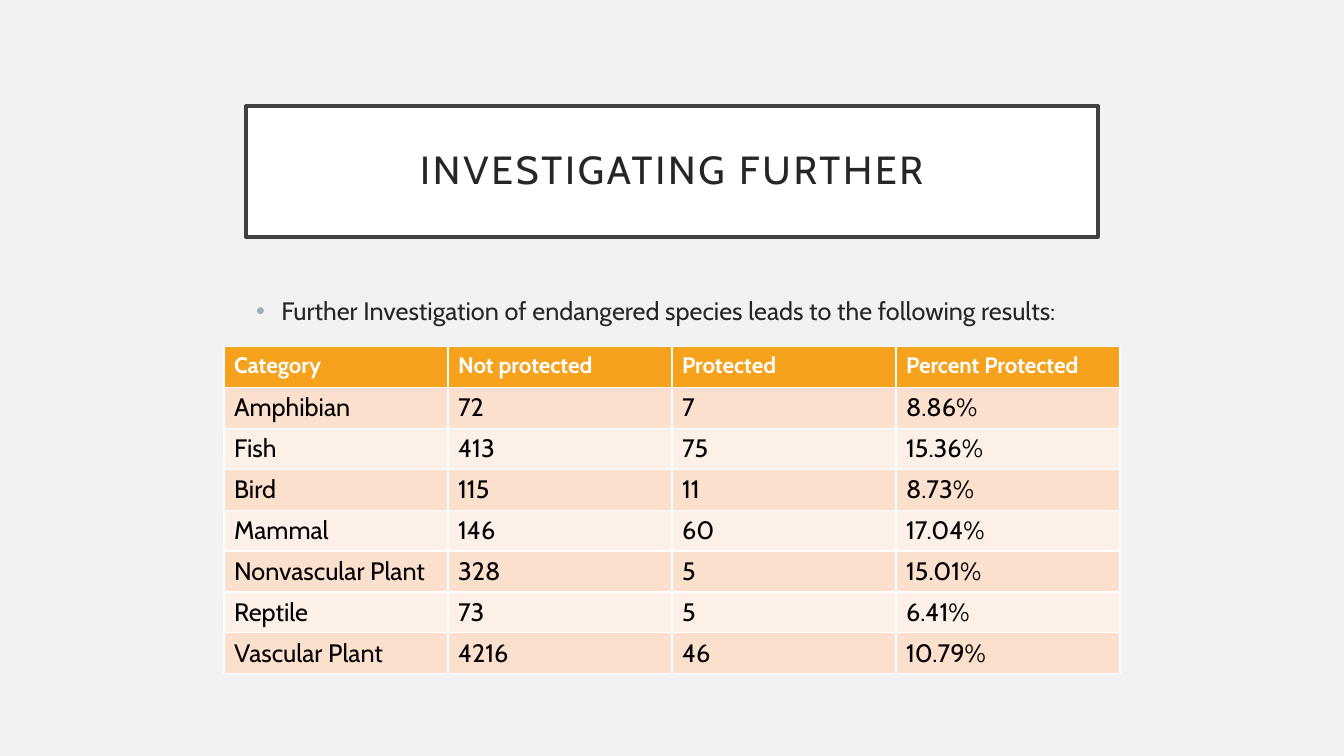
from lxml import etree
from pptx import Presentation
from pptx import util as u
from pptx.dml.color import RGBColor
from pptx.enum import text
from pptx.oxml.ns import qn

INK, WHITE = "262626", "FFFFFF"
HEADER_FILL, BAND_FILLS = "F6A21D", ("FBE0CD", "FDF0E8")
SPECIES = [
    ("Category", "Not protected", "Protected", "Percent Protected"),
    ("Amphibian", "72", "7", "8.86%"),
    ("Fish", "413", "75", "15.36%"),
    ("Bird", "115", "11", "8.73%"),
    ("Mammal", "146", "60", "17.04%"),
    ("Nonvascular Plant", "328", "5", "15.01%"),
    ("Reptile", "73", "5", "6.41%"),
    ("Vascular Plant", "4216", "46", "10.79%"),
]


def paint(colour_format, colour):
    colour_format.rgb = RGBColor.from_string(colour)


def write(frame, words, size=18, colour=INK, bold=False, spacing=0):
    paragraph = frame.paragraphs[0]
    run = paragraph.add_run()
    run.text = words
    run.font.name, run.font.size, run.font.bold = "Cabin", u.Pt(size), bold
    paint(run.font.color, colour)
    if spacing:
        run.font._element.set("spc", str(spacing * 100))
    return paragraph


deck = Presentation()
deck.slide_width, deck.slide_height = u.Inches(13.333), u.Inches(7.5)
slide = deck.slides.add_slide(deck.slide_layouts[1])
slide.background.fill.solid()
paint(slide.background.fill.fore_color, "F2F2F2")
column = deck.slide_width // 6
row = u.Inches(0.405)
margin = u.Inches(2.44)
content_width = deck.slide_width - 2 * margin

# Framed heading
heading, intro = slide.placeholders
heading.left, heading.top = margin, u.Inches(1.05)
heading.width, heading.height = content_width, u.Inches(1.3)
heading.fill.solid()
paint(heading.fill.fore_color, WHITE)
paint(heading.line.color, "404040")
heading.line.width = u.Pt(2.5)
frame = heading.text_frame
frame.margin_left = frame.margin_right = frame.margin_top = frame.margin_bottom = u.Inches(0.2)
frame.vertical_anchor = text.MSO_ANCHOR.MIDDLE
frame.auto_size = text.MSO_AUTO_SIZE.NONE
title_line = write(frame, "INVESTIGATING FURTHER", size=28, spacing=2)
title_line.alignment = text.PP_ALIGN.CENTER
title_line.line_spacing = 0.9

# Introductory bullet
intro.left, intro.top = margin, u.Inches(2.88)
intro.width, intro.height = content_width, u.Inches(3.39)
intro.text_frame.auto_size = text.MSO_AUTO_SIZE.NONE
intro_line = write(intro.text_frame,
                   "Further Investigation of endangered species leads to the following results:")
intro_line.space_before = u.Pt(10)
bullet = intro_line._p.get_or_add_pPr()
bullet.set("marL", str(u.Inches(0.25)))
bullet.set("indent", str(-u.Inches(0.25)))
bullet_colour = etree.SubElement(bullet, qn("a:buClr"))
etree.SubElement(bullet_colour, qn("a:srgbClr"), val="9BAFB5")
etree.SubElement(bullet, qn("a:buFont"), typeface="Arial")
etree.SubElement(bullet, qn("a:buChar"), char="•")

# Protection by category; the default table style supplies the white rules
results = slide.shapes.add_table(len(SPECIES), len(SPECIES[0]), column, u.Inches(3.44),
                                 4 * column, len(SPECIES) * row).table
for table_column in results.columns:
    table_column.width = column
for r, record in enumerate(SPECIES):
    results.rows[r].height = row
    header = r == 0
    for c, value in enumerate(record):
        cell = results.cell(r, c)
        cell.fill.solid()
        paint(cell.fill.fore_color, HEADER_FILL if header else BAND_FILLS[(r - 1) % 2])
        write(cell.text_frame, value, size=16 if header else 18,
              colour=WHITE if header else "000000", bold=header)

deck.save("out.pptx")
